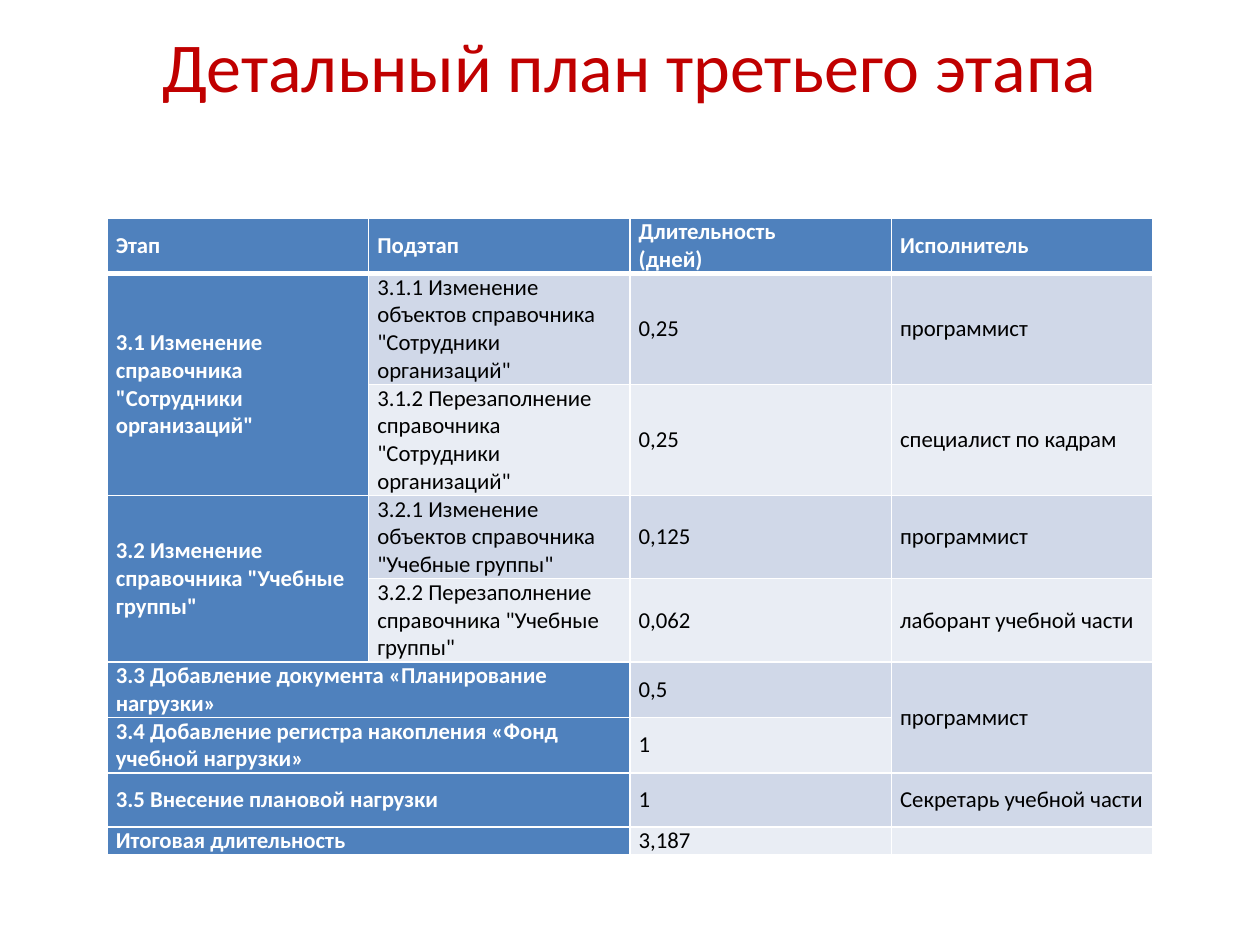
from lxml import etree
from pptx import Presentation
from pptx.dml.color import RGBColor
from pptx.enum.text import MSO_ANCHOR as Anchor, PP_ALIGN as Align
from pptx.oxml.ns import qn
from pptx.util import Inches, Pt

BLUE, WHITE, BLACK, RED = "4F81BD", "FFFFFF", "000000", "C00000"
BANDS = ["E9EDF4", "D0D8E8"]


def write(frame, text, size=13, color=BLACK, bold=False, align=Align.LEFT):
    """Fill a text frame, one paragraph per line of text."""
    for number, line in enumerate(text.split("\n")):
        paragraph = frame.paragraphs[0] if number == 0 else frame.add_paragraph()
        paragraph.alignment = align
        if not line:
            end = etree.SubElement(paragraph._p, qn("a:endParaRPr"))
            end.set("sz", str(size * 100))
            continue
        run = paragraph.add_run()
        run.text = line
        run.font.name = "Calibri"
        run.font.size = Pt(size)
        run.font.bold = bold
        run.font.color.rgb = RGBColor.from_string(color)


def add_borders(cell, **widths):
    """Draw white cell borders; widths are in points, keyed L, R, T, B."""
    properties = cell._tc.get_or_add_tcPr()
    for side, width in widths.items():
        line = etree.SubElement(properties, qn(f"a:ln{side}"), w=str(Pt(width)))
        fill = etree.SubElement(line, qn("a:solidFill"))
        etree.SubElement(fill, qn("a:srgbClr"), val=WHITE)


presentation = Presentation()
presentation.slide_width = Inches(10)
presentation.slide_height = Inches(7.5)
slide = presentation.slides.add_slide(presentation.slide_layouts[5])

title = slide.shapes.title
title.left, title.top = Inches(1.15), Inches(0.13)
title.width, title.height = Inches(7.69), Inches(0.77)
title.text_frame.word_wrap = False
title.text_frame.vertical_anchor = Anchor.TOP
write(title.text_frame, "Детальный план третьего этапа", size=40, color=RED, align=Align.CENTER)

# Cells covered by a merged neighbour stay empty.
rows = [
    ("Этап", "Подэтап", "Длительность\n(дней)", "Исполнитель"),
    ('3.1 Изменение справочника "Сотрудники организаций"',
     '3.1.1 Изменение объектов справочника "Сотрудники организаций"', "0,25", "программист"),
    ("", '3.1.2 Перезаполнение справочника "Сотрудники организаций"', "0,25", "специалист по кадрам"),
    ('3.2 Изменение справочника "Учебные группы"',
     '3.2.1 Изменение объектов справочника "Учебные группы"', "0,125", "программист"),
    ("", '3.2.2 Перезаполнение справочника "Учебные группы"', "0,062", "лаборант учебной части"),
    ("3.3 Добавление документа «Планирование нагрузки»", "", "0,5", "программист"),
    ("3.4 Добавление регистра накопления «Фонд учебной нагрузки»", "", "1", ""),
    ("3.5 Внесение плановой нагрузки", "", "1", "Секретарь учебной части"),
    ("Итоговая длительность", "", "3,187", ""),
]
row_heights = [0.43, 0.86, 0.86, 0.65, 0.65, 0.43, 0.43, 0.43, 0.22]
merges = [((1, 0), (2, 0)), ((3, 0), (4, 0)), ((5, 3), (6, 3))]
merges += [((row, 0), (row, 1)) for row in range(5, 9)]

table = slide.shapes.add_table(
    len(rows), 4, Inches(0.85), Inches(1.73), Inches(8.3), Inches(sum(row_heights))
).table
for column in table.columns:
    column.width = Inches(8.3 / 4)
for row, height in zip(table.rows, row_heights):
    row.height = Inches(height)
for first, last in merges:
    table.cell(*first).merge(table.cell(*last))

for row_number, texts in enumerate(rows):
    for column_number, text in enumerate(texts):
        cell = table.cell(row_number, column_number)
        heading = row_number == 0 or column_number == 0
        cell.margin_left = cell.margin_right = Inches(0.07)
        cell.margin_top = cell.margin_bottom = 0
        cell.vertical_anchor = Anchor.MIDDLE
        add_borders(cell, L=1, R=1, T=3 if row_number == 1 else 1, B=3 if row_number == 0 else 1)
        cell.fill.solid()
        cell.fill.fore_color.rgb = RGBColor.from_string(BLUE if heading else BANDS[row_number % 2])
        write(cell.text_frame, text, color=WHITE if heading else BLACK, bold=heading)

presentation.save("out.pptx")
